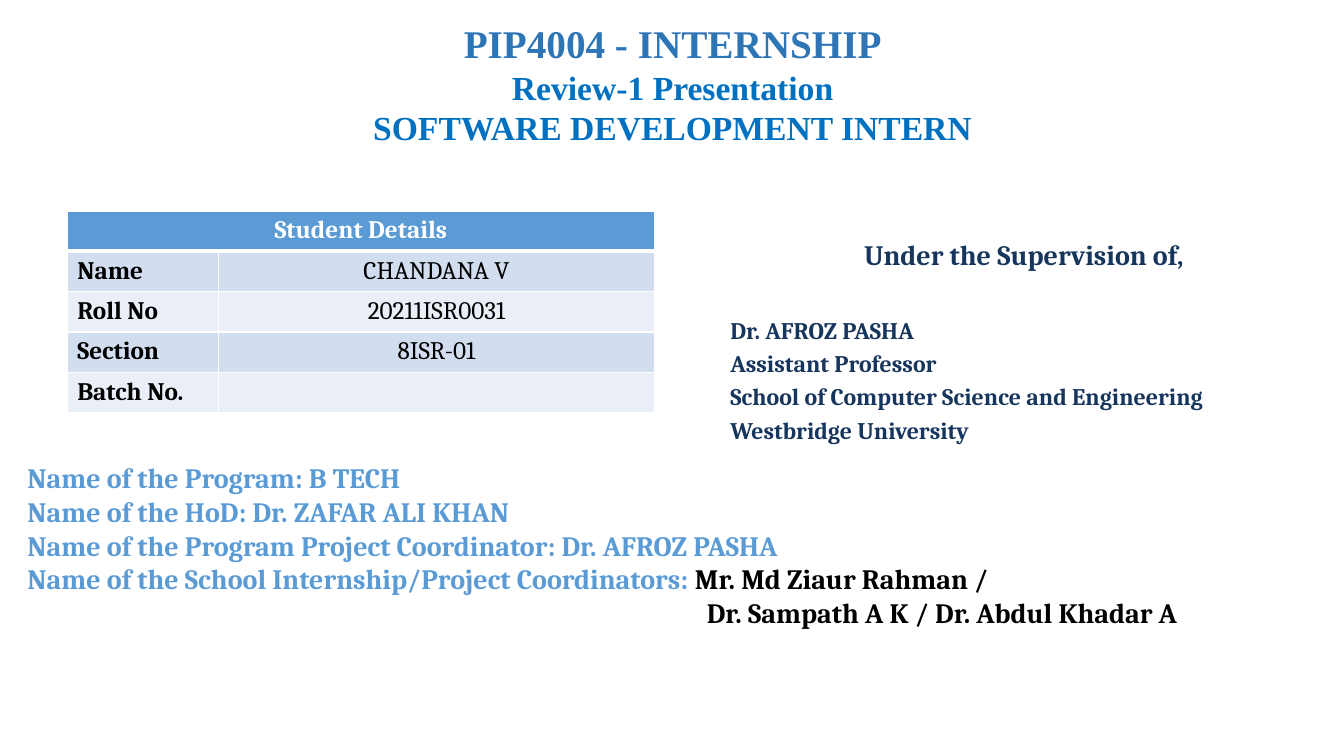
from lxml.etree import SubElement
from pptx import Presentation
from pptx.dml.color import RGBColor
from pptx.enum.text import PP_ALIGN
from pptx.oxml.ns import qn
from pptx.util import Inches, Pt

W, H = 13.33, 7.5
SERIF, TITLE_FONT = "Cambria", "Times New Roman"
NAVY, SKY, BLUE, BLACK, WHITE = "17365D", "5B9BD5", "0070C0", "000000", "FFFFFF"
BANDS = ("D2DEEF", "EAEFF7")


def rgb(value):
    """Turn a hex string into a colour."""
    return RGBColor.from_string(value)


def style(r, size, color, font=SERIF, bold=True):
    """Set the font of a run."""
    r.font.size, r.font.name, r.font.bold = Pt(size), font, bold
    r.font.color.rgb = rgb(color)


def add_text(s, box):
    """Add a wrapping text box and return its frame."""
    tf = s.shapes.add_textbox(*map(Inches, box)).text_frame
    tf.word_wrap = True
    return tf


def add_line(tf, parts, size, font=SERIF, align=PP_ALIGN.LEFT, before=0):
    """Write a paragraph of (text, colour) parts, reusing an empty first one."""
    p = tf.paragraphs[0] if not tf.text else tf.add_paragraph()
    p.alignment, p.space_before = align, Pt(before)
    for text, color in parts:
        r = p.add_run()
        r.text = text
        style(r, size, color, font)
    return p


def title(s, box):
    """Place the three centred heading lines."""
    tf = add_text(s, box)
    for text, size, color in (("PIP4004 - INTERNSHIP", 28, "2E75B6"),
                              ("Review-1 Presentation", 24, BLUE),
                              ("SOFTWARE DEVELOPMENT INTERN", 24, BLUE)):
        add_line(tf, [(text, color)], size, TITLE_FONT, PP_ALIGN.CENTER)


def supervision(s, box):
    """Place the supervisor's details under their heading."""
    tf = add_text(s, box)
    add_line(tf, [("Under the Supervision of,", NAVY)], 20, align=PP_ALIGN.CENTER)
    details = ("Dr. AFROZ PASHA", "Assistant Professor",
               "School of Computer Science and Engineering", "Westbridge University")
    for i, text in enumerate(details):
        add_line(tf, [(text, NAVY)], 17, before=3.4 if i else 31.4)


def coordinators(s, box):
    """Place the programme roles, with the last names indented."""
    tf = add_text(s, box)
    for text in ("Name of the Program: B TECH", "Name of the HoD: Dr. ZAFAR ALI KHAN",
                 "Name of the Program Project Coordinator: Dr. AFROZ PASHA"):
        add_line(tf, [(text, SKY)], 20)
    add_line(tf, [("Name of the School Internship/Project Coordinators: ", SKY),
                  ("Mr. Md Ziaur Rahman /", BLACK)], 20)
    p = add_line(tf, [("Dr. Sampath A K / Dr. Abdul Khadar A", BLACK)], 20)
    p._p.get_or_add_pPr().set("marL", str(Inches(box[2] * 0.503)))


def add_borders(cell, bottom):
    """Draw white cell borders, with the given bottom width."""
    tcPr = cell._tc.get_or_add_tcPr()
    for side, width in (("L", 1), ("R", 1), ("T", 1), ("B", bottom)):
        ln = SubElement(tcPr, qn(f"a:ln{side}"), w=str(Pt(width)))
        SubElement(SubElement(ln, qn("a:solidFill")), qn("a:srgbClr"), val=WHITE)


def student_table(s, box):
    """Place the student details below a merged header."""
    rows = (("Student Details", ""), ("Name", "CHANDANA V"), ("Roll No", "20211ISR0031"),
            ("Section", "8ISR-01"), ("Batch No.", ""))
    table = s.shapes.add_table(len(rows), 2, *map(Inches, box)).table
    for column, width in zip(table.columns, (1.5, box[2] - 1.5)):
        column.width = Inches(width)
    table.cell(0, 0).merge(table.cell(0, 1))
    for i, row in enumerate(rows):
        for j, text in enumerate(row):
            cell = table.cell(i, j)
            add_borders(cell, 1 if i else 3)
            cell.fill.solid()
            cell.fill.fore_color.rgb = rgb(BANDS[(i - 1) % 2] if i else SKY)
            p = cell.text_frame.paragraphs[0]
            p.alignment = PP_ALIGN.CENTER if j or not i else PP_ALIGN.LEFT
            if text:
                p.text = text
                style(p.runs[0], 18, BLACK if i else WHITE, bold=j == 0)


def main():
    """Build and save the slide."""
    prs = Presentation()
    prs.slide_width, prs.slide_height = Inches(W), Inches(H)
    s = prs.slides.add_slide(prs.slide_layouts[6])
    supervision(s, (W * 0.536, H * 0.308, W * 0.452, H * 0.295))
    coordinators(s, (W * 0.013, H * 0.603, W * 1.005, H * 0.228))
    title(s, (W * 0.069, H * 0.019, W * 0.863, H * 0.228))
    student_table(s, (W * 0.05, H * 0.279, W * 0.437, H * 0.267))
    prs.save("out.pptx")


if __name__ == "__main__":
    main()
